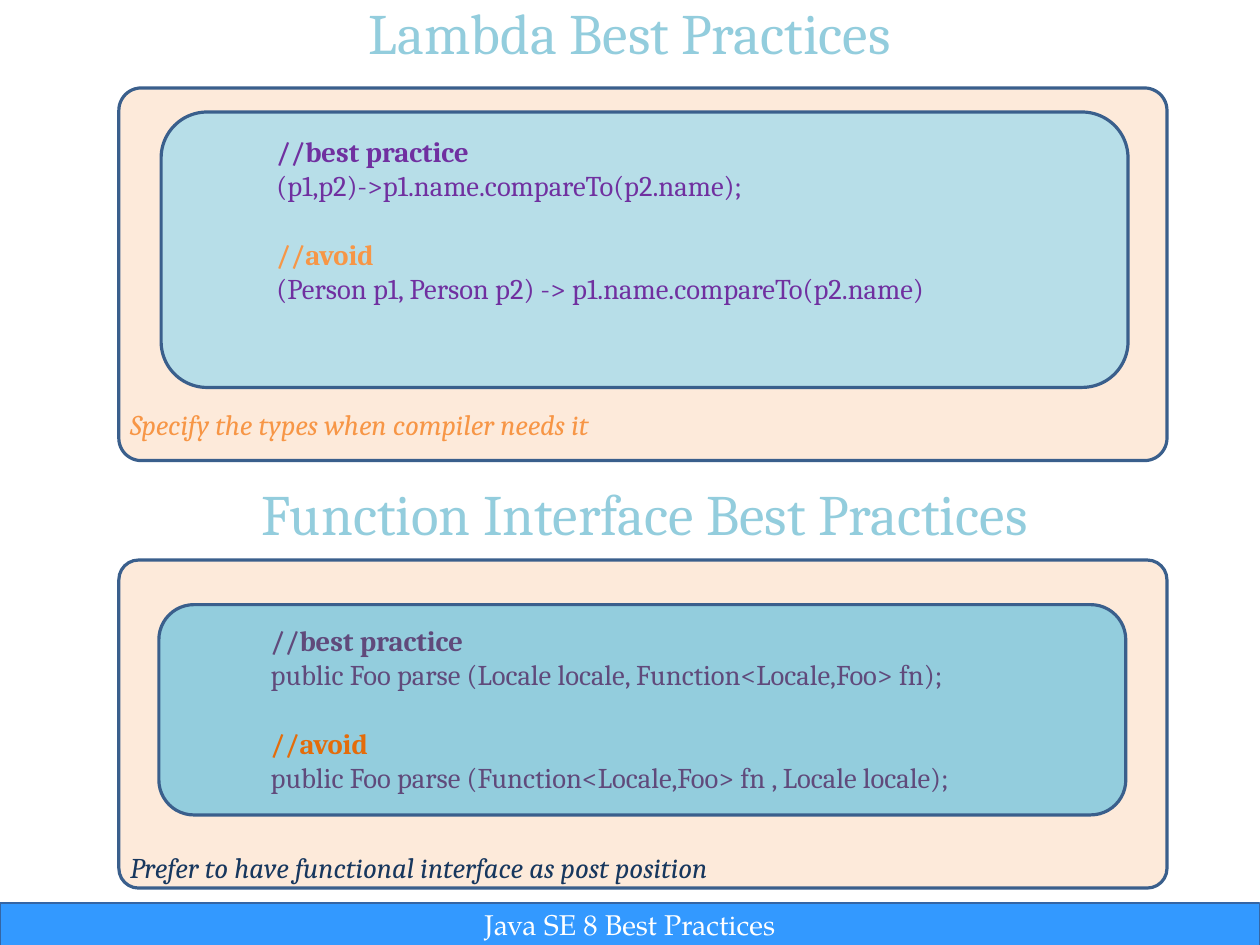
from pptx import Presentation
from pptx.dml.color import RGBColor
from pptx.enum.shapes import MSO_SHAPE
from pptx.enum.text import MSO_ANCHOR, PP_ALIGN
from pptx.util import Cm, Inches, Pt

COLORS = {
    "title": "93CDDD", "panel": "FDEADA", "border": "3A5F8C",
    "light_card": "B7DEE8", "card": "93CDDD",
    "purple": "7030A0", "plum": "604A7B",
    "orange": "F79646", "dark_orange": "E46C0A", "navy": "17375E",
    "footer": "3399FF", "footer_border": "3465A4", "white": "FFFFFF",
}
SLIDE_SIZE = Cm(28), Cm(21)
WIDTH = 11.02
PANEL_LEFT, PANEL_WIDTH, CARD_WIDTH = 1.04, 9.17, 8.46
FOOTER = "Java SE 8 Best Practices"

# Boxes are (left, top, width, height) in inches.
SECTIONS = [
    {
        "title": "Lambda Best Practices", "title_at": (0, 0),
        "panel": (0.77, 3.26),
        "card": (1.41, 0.98, CARD_WIDTH, 2.41), "card_fill": "light_card",
        "code_at": (2.32, 1.12, 6.32, 1.62),
        "best": "(p1,p2)->p1.name.compareTo(p2.name);",
        "avoid": "(Person p1, Person p2) -> p1.name.compareTo(p2.name)",
        "code_color": "purple", "avoid_color": "orange",
        "note": "Specify the types when compiler needs it",
        "note_at": (PANEL_LEFT, 3.51, 4.4, 0.4), "note_color": "orange",
    },
    {
        "title": "Function Interface Best Practices", "title_at": (0.13, 4.2),
        "panel": (4.9, 2.87),
        "card": (1.39, 5.29, CARD_WIDTH, 1.84), "card_fill": "card",
        "code_at": (2.27, 5.4, 6.47, 1.62),
        "best": "public Foo parse (Locale locale, Function<Locale,Foo> fn);",
        "avoid": "public Foo parse (Function<Locale,Foo> fn , Locale locale);",
        "code_color": "plum", "avoid_color": "dark_orange",
        "note": "Prefer to have functional interface as post position",
        "note_at": (PANEL_LEFT, 7.39, 5.48, 0.4), "note_color": "navy",
    },
]


def rgb(name):
    return RGBColor.from_string(COLORS[name])


def add_box(page, kind, box, fill, border="border", border_width=2, corner=None):
    shape = page.shapes.add_shape(kind, *map(Inches, box))
    shape.shadow.inherit = False
    shape.fill.solid()
    shape.fill.fore_color.rgb = rgb(fill)
    shape.line.color.rgb = rgb(border)
    shape.line.width = Pt(border_width)
    if corner is not None:
        shape.adjustments[0] = corner
    return shape


def add_frame(page, box, wrap=False):
    frame = page.shapes.add_textbox(*map(Inches, box)).text_frame
    frame.word_wrap = wrap
    return frame


def write(para, text, color, size=18, font="Cambria", bold=False, italic=False,
          align=PP_ALIGN.LEFT, line_spacing=None, space_before=None):
    para.alignment = align
    para.line_spacing = line_spacing
    para.space_before = space_before
    span = para.add_run()
    span.text = text
    span.font.name = font
    span.font.size = Pt(size)
    span.font.bold = bold
    span.font.italic = italic
    span.font.color.rgb = rgb(color)


def add_section(page, section):
    title = add_frame(page, (*section["title_at"], WIDTH, 0.75), wrap=True)
    write(title.paragraphs[0], section["title"], "title", size=36,
          align=PP_ALIGN.CENTER, line_spacing=0.9)

    top, height = section["panel"]
    add_box(page, MSO_SHAPE.ROUNDED_RECTANGLE,
            (PANEL_LEFT, top, PANEL_WIDTH, height), "panel", corner=0.06)
    add_box(page, MSO_SHAPE.ROUNDED_RECTANGLE, section["card"], section["card_fill"])

    code_color = section["code_color"]
    lines = [
        ("//best practice", code_color, True, None),
        (section["best"], code_color, False, None),
        ("//avoid", section["avoid_color"], True, Pt(21.6)),
        (section["avoid"], code_color, False, None),
    ]
    code = add_frame(page, section["code_at"])
    for index, (text, color, bold, gap) in enumerate(lines):
        para = code.add_paragraph() if index else code.paragraphs[0]
        write(para, text, color, bold=bold, space_before=gap)

    note = add_frame(page, section["note_at"])
    write(note.paragraphs[0], section["note"], section["note_color"], italic=True)


def add_footer(page):
    bar = add_box(page, MSO_SHAPE.RECTANGLE, (0, 7.9, WIDTH, 0.37), "footer",
                  border="footer_border", border_width=0.75)
    frame = bar.text_frame
    frame.word_wrap = False
    frame.vertical_anchor = MSO_ANCHOR.MIDDLE
    write(frame.paragraphs[0], FOOTER, "white", font="TeX Gyre Pagella",
          align=PP_ALIGN.CENTER)


def main():
    deck = Presentation()
    deck.slide_width, deck.slide_height = SLIDE_SIZE
    page = deck.slides.add_slide(deck.slide_layouts[6])
    add_footer(page)
    for section in SECTIONS:
        add_section(page, section)
    deck.save("out.pptx")


if __name__ == "__main__":
    main()
